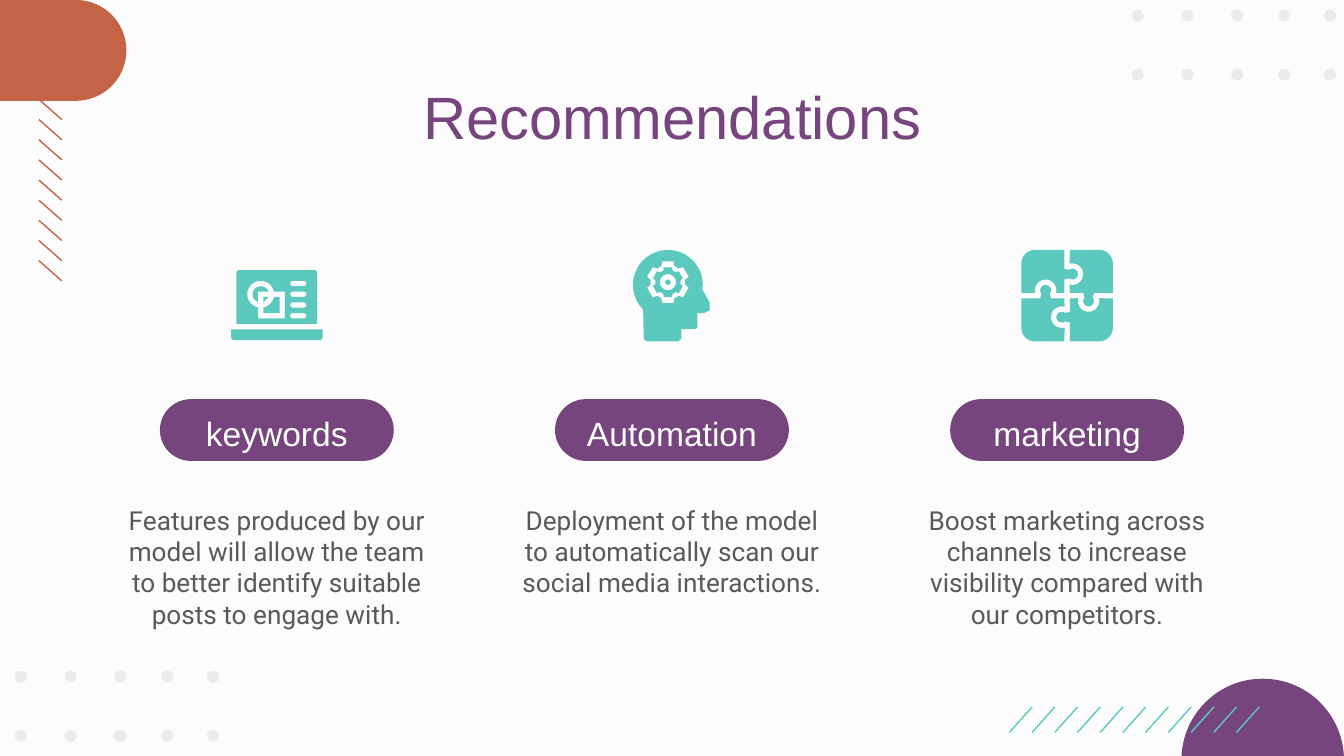
from math import cos, sin, radians
from lxml.etree import SubElement
from pptx import Presentation
from pptx.dml.color import RGBColor
from pptx.enum.shapes import MSO_CONNECTOR, MSO_SHAPE
from pptx.enum.text import MSO_ANCHOR, PP_ALIGN
from pptx.oxml.ns import qn
from pptx.util import Inches, Pt

W = 10
H = W * 9 / 16
STEP = 2.94
HUES = {"back": "FCFCFC", "plum": "77457D", "teal": "5CC9BF",
        "rust": "C46345", "dot": "EBEBEB", "text": "595959"}
INK = {name: RGBColor.from_string(code) for name, code in HUES.items()}

deck = Presentation()
deck.slide_width, deck.slide_height = Inches(W), Inches(H)
slide = deck.slides.add_slide(deck.slide_layouts[5])
slide.background.fill.solid()
slide.background.fill.fore_color.rgb = INK["back"]
shapes = slide.shapes


def say(text, box, size, ink, font="Arial", after=0, holder=None):
    area = [Inches(n) for n in box]
    item = holder or shapes.add_textbox(*area)
    item.left, item.top, item.width, item.height = area
    frame = item.text_frame
    frame.word_wrap = True
    frame.vertical_anchor = MSO_ANCHOR.TOP
    frame.margin_left = frame.margin_right = Inches(0.1)
    frame.margin_top = frame.margin_bottom = Inches(0.1)
    para = frame.paragraphs[0]
    para.alignment = PP_ALIGN.CENTER
    para.space_after = Pt(after)
    run = para.add_run()
    run.text = text
    run.font.size, run.font.name = Pt(size), font
    run.font.color.rgb = INK[ink]


def arc(x, y, r, start, end):
    turns = [radians(start + (end - start) * i / 24) for i in range(25)]
    return [(x + r * cos(t), y + r * sin(t)) for t in turns]


mids = [W / 2 + STEP * (i - 1) for i in range(3)]

forms = [(MSO_SHAPE.OVAL, (x + dx, y + dy, 0.09, 0.09), "dot", 0, [])
         for x, y in [(0.11, 4.99), (8.42, 0.07)]
         for dy in (0, 0.44)
         for dx in (0, 0.37, 0.74, 1.09, 1.43)]
forms += [
    (MSO_SHAPE.PIE, (8.79, 5.05, 1.21, 1.21), "plum", 90, [54, 162]),
    (MSO_SHAPE.ROUND_2_SAME_RECTANGLE, (0.09, -0.1, 0.74, 0.95), "rust", 90, [0.5, 0]),
]
forms += [(MSO_SHAPE.ROUNDED_RECTANGLE, (mid - 0.87, 2.97, 1.74, 0.46), "plum", 0, [0.5])
          for mid in mids]
for kind, box, hue, turn, bends in forms:
    form = shapes.add_shape(kind, *[Inches(n) for n in box])
    form.shadow.inherit = False
    form.fill.solid()
    form.fill.fore_color.rgb = INK[hue]
    if hue == "rust":
        form.line.color.rgb = INK[hue]
        form.line.width = Pt(0.75)
    else:
        form.line.fill.background()
    form.rotation = turn
    for i, bend in enumerate(bends):
        form.adjustments[i] = bend

pitch = (9.37 - 7.68) / 10
rows = [(9.37 - pitch * i, 5.26, 9.2 - pitch * i, 5.45, "teal") for i in range(11)]
rows += [(0.46, 2.09 - 0.15 * i, 0.29, 1.94 - 0.15 * i, "rust") for i in range(9)]
for *ends, hue in rows:
    dash = shapes.add_connector(MSO_CONNECTOR.STRAIGHT, *[Inches(n) for n in ends])
    dash.line.color.rgb = INK[hue]
    dash.line.width = Pt(0.75)
    SubElement(dash._element.spPr, qn("a:effectLst"))

say("Recommendations", (0.79, 0.49, 8.43, 0.63), 32, "plum", holder=shapes.title)
cards = [
    ("keywords", 1.36, "Features produced by our model will allow the team to better "
     "identify suitable posts to engage with."),
    ("Automation", 0.94, "Deployment of the model to automatically scan our social "
     "media interactions."),
    ("marketing", 0.94, "Boost marketing across channels to increase visibility "
     "compared with our competitors."),
]
for mid, (label, tall, body) in zip(mids, cards):
    say(label, (mid - 0.8, 2.97, 1.6, 0.46), 18, "back", after=12)
    say(body, (mid - 1.28, 3.65, 2.56, tall), 14, "text", font="Roboto")

bars = [arc(0.12, y, 0.02, 90, 270) + arc(0.2, y, 0.02, -90, 90)
        for y in (-0.09, -0.01, 0.07, 0.15)]
screen = arc(-0.28, -0.17, 0.02, 180, 270) + arc(0.28, -0.17, 0.02, 270, 360)
screen += [(0.3, 0.21), (-0.3, 0.21)]
ring = arc(-0.12, -0.01, 0.1, -11, -259) + [(-0.14, 0.17), (0.06, 0.17), (0.06, -0.03)]
base = [(-0.34, 0.25), (0.34, 0.25)]
base += arc(0.32, 0.31, 0.02, 0, 90) + arc(-0.32, 0.31, 0.02, 90, 180)
laptop = [
    [screen, ring, *bars],
    [arc(-0.12, -0.01, 0.06, -20, -250) + [(-0.14, -0.03), (-0.06, -0.03)]],
    [[(-0.1, 0.01), (-0.06, 0.01), (-0.1, 0.05)]],
    [arc(-0.12, -0.01, 0.1, 11, 79) + [(-0.1, 0.13), (0.02, 0.13), (0.02, 0.01)]],
    [base],
]

face = arc(-0.03, -0.08, 0.26, 135, 368)
face += [(0.23, -0.04), (0.28, 0.05), (0.28, 0.11), (0.24, 0.13), (0.19, 0.13),
         (0.19, 0.24), (0.17, 0.25), (0.07, 0.25), (0.07, 0.32), (0.05, 0.34),
         (-0.19, 0.34), (-0.21, 0.32)]
gears = [[(-0.03 + r * size * cos(radians(t + d)), -0.1 + r * size * sin(radians(t + d)))
          for t in range(30, 390, 60)
          for d, r in [(-22, 0.13), (-15, 0.16), (15, 0.16), (22, 0.13)]]
         for size in (1, 0.72)]
head = [[face, gears[0]],
        [gears[1], arc(-0.03, -0.1, 0.06, 0, 360)],
        [arc(-0.03, -0.1, 0.02, 0, 360)]]

piece = [(0.02, -0.34)] + arc(0.24, -0.24, 0.1, -90, 0) + [(0.34, -0.02), (0.2, -0.02)]
piece += arc(0.16, 0.04, 0.04, -40, 220) + [(0.12, -0.02), (0.02, -0.02)]
piece += arc(0.04, -0.16, 0.08, 105, -105)
puzzle = [[[(x * c - y * s, x * s + y * c) for x, y in piece]]
          for c, s in [(1, 0), (0, 1), (-1, 0), (0, -1)]]

for mid, icon in zip(mids, [laptop, head, puzzle]):
    for loops in icon:
        pen = None
        for loop in loops:
            spots = [((mid + x) * 1000, (2.2 + y) * 1000) for x, y in loop]
            if pen:
                pen.move_to(*spots[0])
            else:
                pen = shapes.build_freeform(*spots[0], scale=914.4)
            pen.add_line_segments(spots[1:], close=True)
        part = pen.convert_to_shape()
        part.shadow.inherit = False
        part.fill.solid()
        part.fill.fore_color.rgb = INK["teal"]
        part.line.fill.background()

deck.save("out.pptx")
